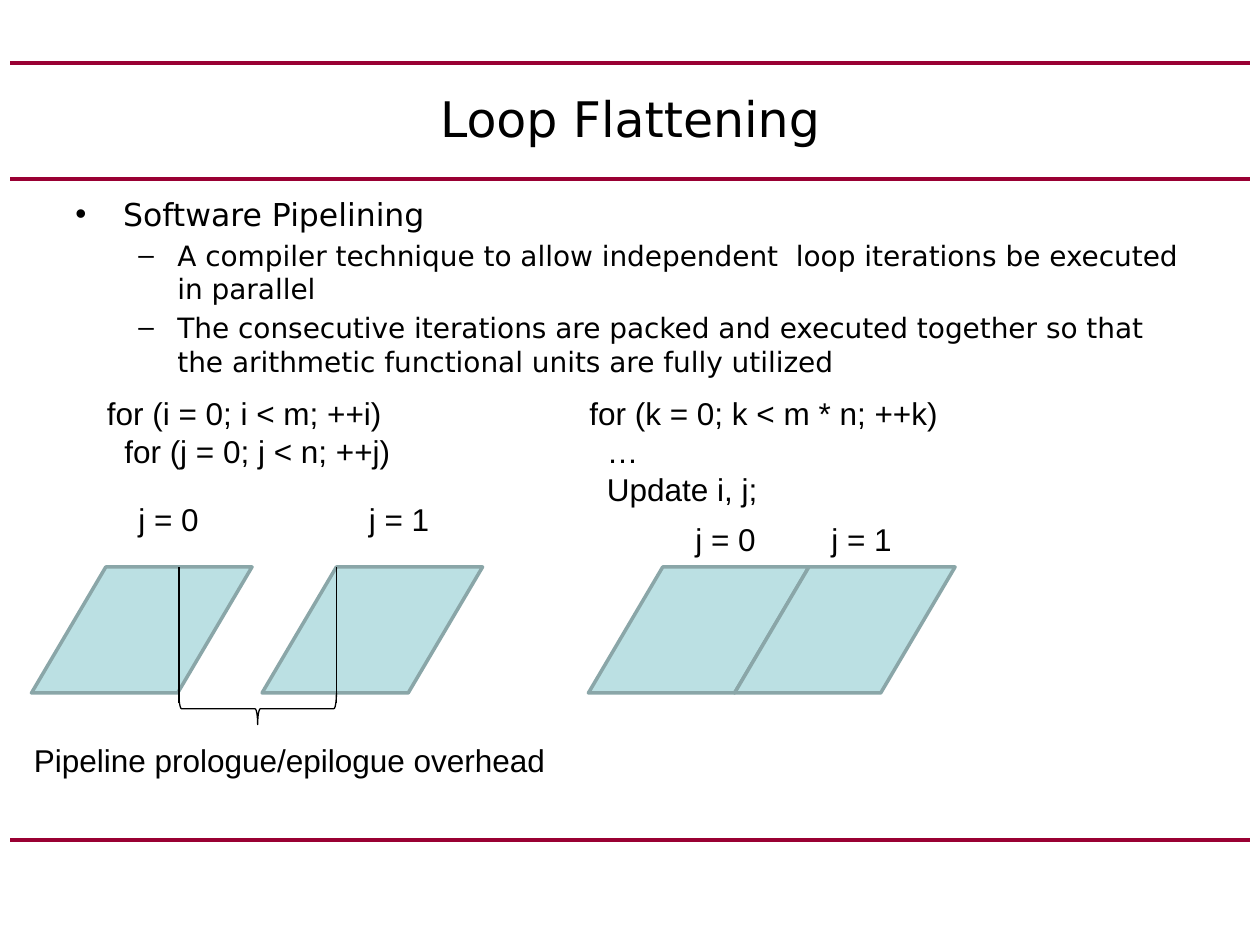
from lxml import etree
from pptx import Presentation
from pptx.dml.color import RGBColor
from pptx.enum.shapes import MSO_CONNECTOR, MSO_SHAPE
from pptx.enum.text import MSO_ANCHOR, MSO_AUTO_SIZE, PP_ALIGN
from pptx.oxml.ns import qn
from pptx.util import Inches, Pt

BLACK = RGBColor(0x00, 0x00, 0x00)
CRIMSON = RGBColor(0x99, 0x00, 0x33)
PALE_TEAL = RGBColor(0xBB, 0xE0, 0xE3)
GREY_TEAL = RGBColor(0x8A, 0xA6, 0xA8)


def add_line(x1, y1, x2, y2, color, width):
    line = slide.shapes.add_connector(
        MSO_CONNECTOR.STRAIGHT, Inches(x1), Inches(y1), Inches(x2), Inches(y2))
    line.line.color.rgb = color
    line.line.width = Pt(width)
    etree.SubElement(line._element.spPr, qn("a:effectLst"))


def add_run(paragraph, text, font_name, size):
    run = paragraph.add_run()
    run.text = text
    run.font.name = font_name
    run.font.size = Pt(size)
    run.font.color.rgb = BLACK


prs = Presentation()
prs.slide_width = Inches(10)
prs.slide_height = Inches(7.5)
slide = prs.slides.add_slide(prs.slide_layouts[5])

for rule_y in (6.67, 1.42, 0.5):
    add_line(0.08, rule_y, 9.92, rule_y, CRIMSON, 2.25)

title = slide.shapes.title
title.left, title.top = Inches(0.5), Inches(0.5)
title.width, title.height = Inches(9), Inches(0.87)
title.text_frame.vertical_anchor = MSO_ANCHOR.MIDDLE
heading = title.text_frame.paragraphs[0]
heading.alignment = PP_ALIGN.CENTER
add_run(heading, "Loop Flattening", "DejaVu Sans", 28)

points = [
    (0, "Software Pipelining"),
    (1, "A compiler technique to allow independent  loop iterations be executed in parallel"),
    (1, "The consecutive iterations are packed and executed together so that "
        "the arithmetic functional units are fully utilized"),
]
level_styles = [("•", 0.38, 0.38, 18, 0), ("–", 0.81, 0.31, 16, 3)]
body = slide.shapes.add_textbox(Inches(0.5), Inches(1.5), Inches(9), Inches(1.67)).text_frame
body.word_wrap = True
for index, (level, point) in enumerate(points):
    bullet, margin, hanging, size, space = level_styles[level]
    paragraph = body.paragraphs[0] if index == 0 else body.add_paragraph()
    paragraph.level = level
    properties = paragraph._p.get_or_add_pPr()
    properties.set("marL", str(Inches(margin)))
    properties.set("indent", str(-Inches(hanging)))
    etree.SubElement(properties, qn("a:buFont")).set("typeface", "Arial")
    etree.SubElement(properties, qn("a:buChar")).set("char", bullet)
    paragraph.space_before = Pt(space)
    add_run(paragraph, point, "DejaVu Sans", size)

for pipeline_x in (0.25, 2.08, 4.67, 5.83):
    pipeline = slide.shapes.add_shape(
        MSO_SHAPE.PARALLELOGRAM, Inches(pipeline_x), Inches(4.5), Inches(1.75), Inches(1))
    pipeline.adjustments[0] = 0.59
    pipeline.shadow.inherit = False
    pipeline.fill.solid()
    pipeline.fill.fore_color.rgb = PALE_TEAL
    pipeline.line.color.rgb = GREY_TEAL
    pipeline.line.width = Pt(2)

for overhead_x in (1.42, 2.67):
    add_line(overhead_x, 5.58, overhead_x, 4.5, BLACK, 0.75)

overhead_brace = slide.shapes.add_shape(
    MSO_SHAPE.LEFT_BRACE, Inches(1.92), Inches(5), Inches(0.25), Inches(1.25))
overhead_brace.rotation = 270
overhead_brace.shadow.inherit = False
overhead_brace.fill.background()
overhead_brace.line.color.rgb = BLACK
overhead_brace.line.width = Pt(0.75)

captions = [
    (0.75, 3.08, 2.67, 0.71, ["for (i = 0; i < m; ++i)", "  for (j = 0; j < n; ++j)"]),
    (4.58, 3.08, 3.75, 1.01, ["for (k = 0; k < m * n; ++k)", "  …", "  Update i, j;"]),
    (1, 3.92, 0.83, 0.4, ["j = 0"]),
    (2.83, 3.92, 0.83, 0.4, ["j = 1"]),
    (5.42, 4.08, 0.83, 0.4, ["j = 0"]),
    (6.5, 4.08, 0.83, 0.4, ["j = 1"]),
    (0.17, 5.83, 4.67, 0.4, ["Pipeline prologue/epilogue overhead"]),
]
for left, top, width, height, lines in captions:
    caption = slide.shapes.add_textbox(
        Inches(left), Inches(top), Inches(width), Inches(height)).text_frame
    caption.word_wrap = True
    caption.auto_size = MSO_AUTO_SIZE.SHAPE_TO_FIT_TEXT
    for index, text in enumerate(lines):
        paragraph = caption.paragraphs[0] if index == 0 else caption.add_paragraph()
        add_run(paragraph, text, "Arial", 18)

prs.save("out.pptx")
